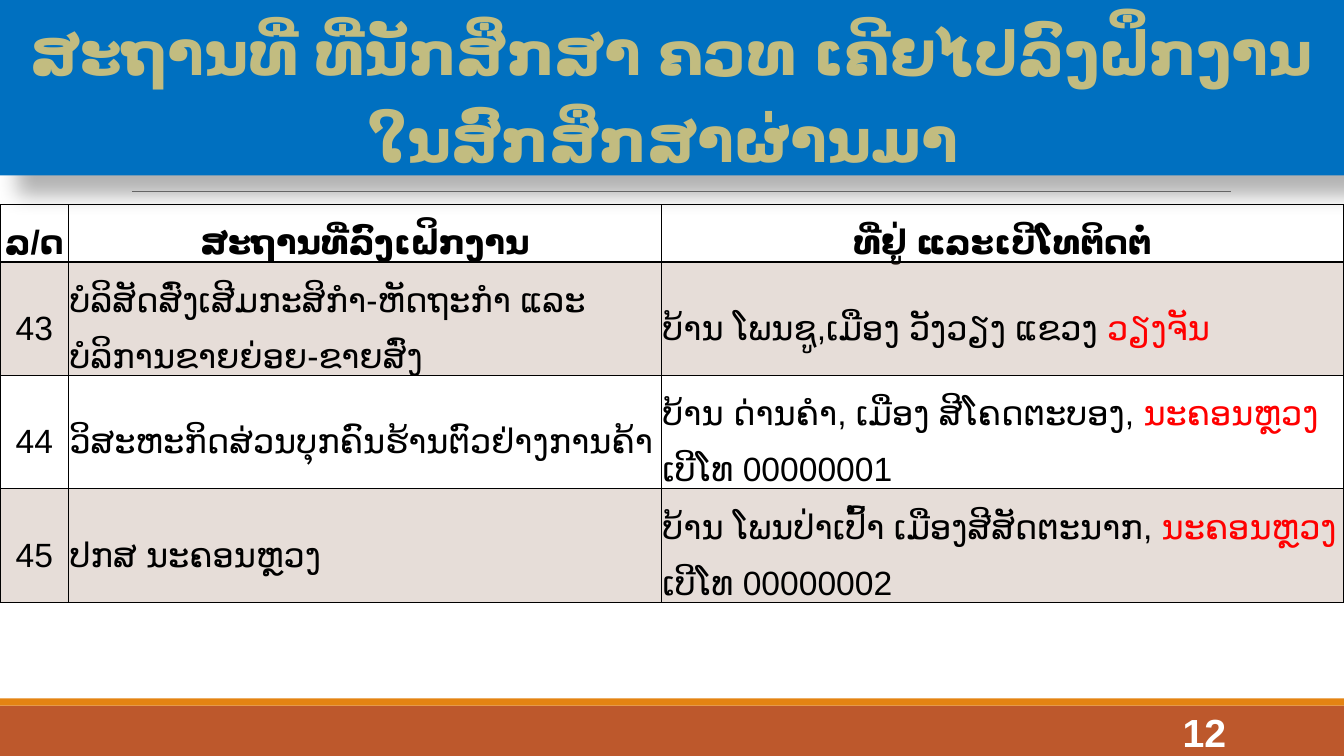
from lxml import etree
from pptx import Presentation
from pptx.dml.color import RGBColor
from pptx.enum.shapes import MSO_CONNECTOR, MSO_SHAPE
from pptx.enum.text import MSO_ANCHOR, PP_ALIGN
from pptx.oxml import parse_xml
from pptx.oxml.ns import nsdecls, qn
from pptx.util import Inches, Pt

RECT = MSO_SHAPE.RECTANGLE
STRAIGHT = MSO_CONNECTOR.STRAIGHT
MIDDLE, BOTTOM = MSO_ANCHOR.MIDDLE, MSO_ANCHOR.BOTTOM
LEFT, CENTER, RIGHT = PP_ALIGN.LEFT, PP_ALIGN.CENTER, PP_ALIGN.RIGHT

BLACK = RGBColor(0x00, 0x00, 0x00)
WHITE = RGBColor(0xFF, 0xFF, 0xFF)
RED = RGBColor(0xFF, 0x00, 0x00)
GRAY = RGBColor(0x80, 0x80, 0x80)
BLUE = RGBColor(0x00, 0x70, 0xC0)
KHAKI = RGBColor(0xC2, 0xBC, 0x80)
RUST = RGBColor(0xBD, 0x58, 0x2C)
ORANGE = RGBColor(0xE4, 0x83, 0x12)
BROWN = RGBColor(0x86, 0x56, 0x40)


def add_run(p, text, size, color, bold=False):
    r = p.add_run()
    r.text = text
    r.font.size = Pt(size)
    r.font.bold = bold
    r.font.color.rgb = color
    r.font.name = "Arial"
    etree.SubElement(r.font._element, qn("a:cs"), typeface="Arial")
    return r


def add_bar(top, height, color):
    sp = s.shapes.add_shape(RECT, 0, Inches(top), prs.slide_width, Inches(height))
    sp.shadow.inherit = False
    sp.fill.solid()
    sp.fill.fore_color.rgb = color
    sp.line.fill.background()
    return sp


prs = Presentation()
prs.slide_width, prs.slide_height = Inches(13.33), Inches(7.5)
s = prs.slides.add_slide(prs.slide_layouts[6])

# Footer bands and the rule under the title
add_bar(7, 0.5, RUST)
add_bar(6.93, 0.07, ORANGE)
rule = s.shapes.add_connector(STRAIGHT, Inches(1.31), Inches(1.9), Inches(12.21), Inches(1.9))
rule.line.color.rgb = GRAY
rule.line.width = Pt(0.5)
etree.SubElement(rule._element.spPr, qn("a:effectLst"))

# Table: each cell is a list of paragraphs, each paragraph a list of (text, color)
ROWS = [
    [[[("ລ/ດ", BLACK)]],
     [[("ສະຖານທີ່ລົງເຝິກງານ", BLACK)]],
     [[("ທີ່ຢູ່ ແລະເບີໂທຕິດຕໍ່", BLACK)]]],
    [[[("43", BLACK)]],
     [[("ບໍລິສັດສົ່ງເສີມກະສິກໍາ-ຫັດຖະກຳ ແລະ ບໍລິການຂາຍຍ່ອຍ-ຂາຍສົ່ງ", BLACK)]],
     [[("ບ້ານ ໂພນຊູ,ເມືອງ ວັງວຽງ ແຂວງ ", BLACK), ("ວຽງຈັນ", RED)]]],
    [[[("44", BLACK)]],
     [[("ວິສະຫະກິດສ່ວນບຸກຄົນຮ້ານຕົວຢ່າງການຄ້າ", BLACK)]],
     [[("ບ້ານ ດ່ານຄໍາ, ເມືອງ ສີໂຄດຕະບອງ, ", BLACK), ("ນະຄອນຫຼວງ", RED)],
      [("ເບີໂທ 00000001", BLACK)]]],
    [[[("45", BLACK)]],
     [[("ປກສ ນະຄອນຫຼວງ", BLACK)]],
     [[("ບ້ານ ໂພນປ່າເປົ້າ ເມືອງສີສັດຕະນາກ, ", BLACK), ("ນະຄອນຫຼວງ", RED)],
      [("ເບີໂທ 00000002", BLACK)]]],
]
COL_WIDTHS = [0.68, 5.88, 6.77]
ROW_HEIGHTS = [0.57, 1.12, 1.12, 1.12]

table = s.shapes.add_table(len(ROWS), len(COL_WIDTHS), 0, Inches(2.03),
                           prs.slide_width, Inches(sum(ROW_HEIGHTS))).table
table.first_row = table.horz_banding = False
for col, width in zip(table.columns, COL_WIDTHS):
    col.width = Inches(width)
for row, height in zip(table.rows, ROW_HEIGHTS):
    row.height = Inches(height)

for i, row in enumerate(ROWS):
    for j, paragraphs in enumerate(row):
        cell = table.cell(i, j)
        cell.margin_left = cell.margin_right = cell.margin_top = Inches(0.01)
        cell.margin_bottom = 0
        cell.vertical_anchor = BOTTOM if (i, j) == (0, 2) else MIDDLE
        tf = cell.text_frame
        for k, parts in enumerate(paragraphs):
            p = tf.add_paragraph() if k else tf.paragraphs[0]
            p.alignment = CENTER if i == 0 or j == 0 else LEFT
            p.line_spacing = 1.5
            for text, color in parts:
                add_run(p, text, 24, color, bold=i == 0)

        # Tint on odd rows, thin black borders on every side
        if i % 2:
            cell.fill.solid()
            cell.fill.fore_color.rgb = BROWN
            tint = cell._tc.tcPr.find(qn("a:solidFill"))[0]
            etree.SubElement(tint, qn("a:alpha"), val="20000")
        else:
            cell.fill.background()
        for n, side in enumerate(("lnL", "lnR", "lnT", "lnB")):
            cell._tc.tcPr.insert(n, parse_xml(
                f'<a:{side} {nsdecls("a")} w="12700"><a:solidFill>'
                f'<a:srgbClr val="{BLACK}"/></a:solidFill></a:{side}>'))

# Title banner with a soft shadow
banner = add_bar(0, 1.74, BLUE)
banner._element.spPr.find(qn("a:effectLst")).append(parse_xml(
    f'<a:outerShdw {nsdecls("a")} blurRad="190500" dist="228600" dir="2700000">'
    f'<a:srgbClr val="{BLACK}"><a:alpha val="30000"/></a:srgbClr></a:outerShdw>'))
tf = banner.text_frame
tf.word_wrap = True
tf.vertical_anchor = MIDDLE
p = tf.paragraphs[0]
p.alignment = CENTER
p.line_spacing = 1.2
r = add_run(p, "ສະຖານທີ່ ທີ່ນັກສຶກສາ ຄວທ ເຄີຍໄປລົງຝຶກງານໃນສົກສຶກສາຜ່ານມາ ", 43.2, KHAKI, bold=True)
r.font._element.insert(0, parse_xml(
    f'<a:ln {nsdecls("a")} w="9525"><a:solidFill>'
    f'<a:srgbClr val="{WHITE}"/></a:solidFill></a:ln>'))

# Page number
tf = s.shapes.add_textbox(Inches(10.83), Inches(7.06), Inches(1.43), Inches(0.4)).text_frame
tf.word_wrap = True
tf.vertical_anchor = MIDDLE
p = tf.paragraphs[0]
p.alignment = RIGHT
p.line_spacing = 1.0
add_run(p, "12", 28, WHITE, bold=True)

prs.save("out.pptx")
